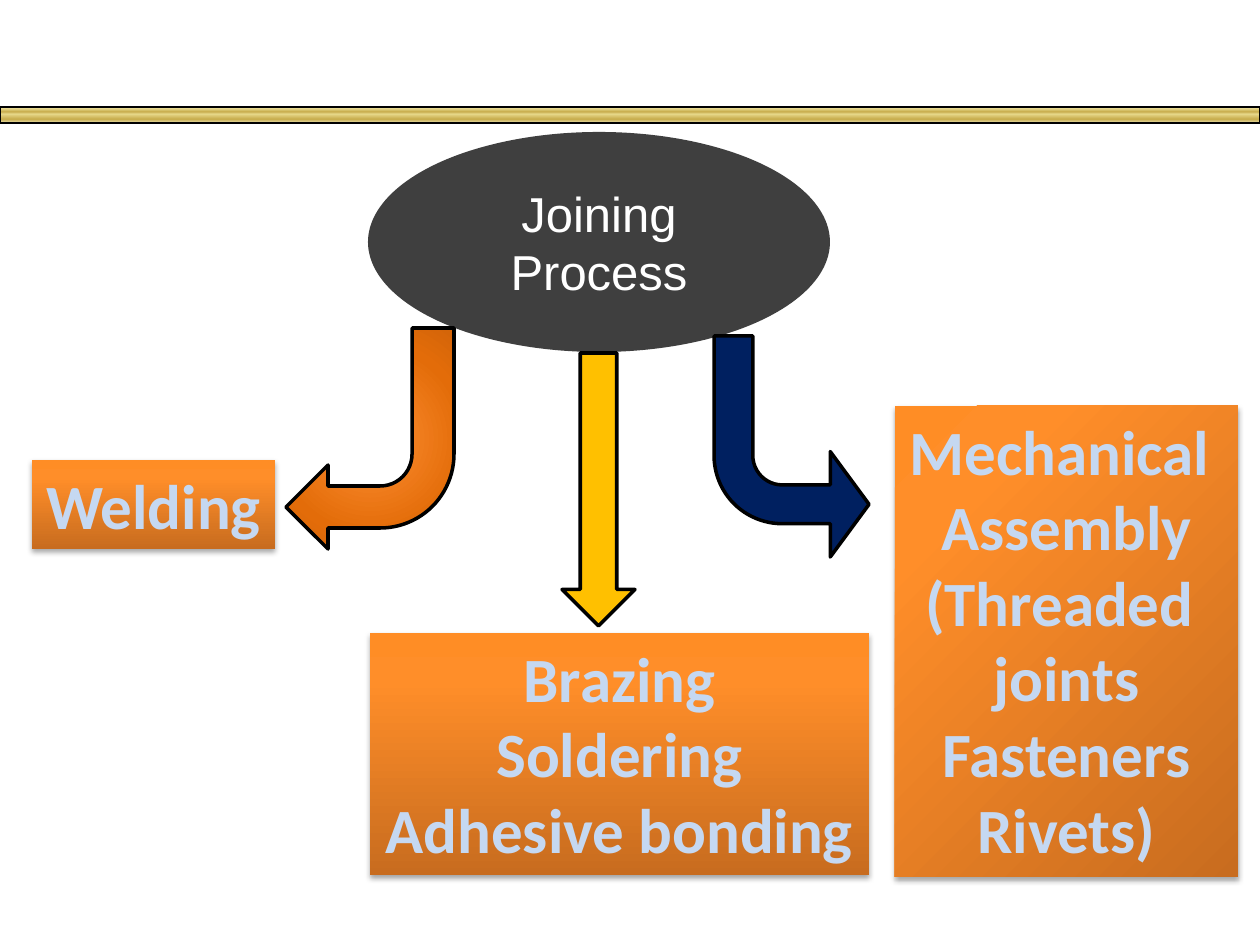
"""Build a slide that sorts joining processes into three branches."""
import lxml.etree
import pptx
import pptx.dml.color
import pptx.enum.shapes
import pptx.enum.text
import pptx.oxml.ns
import pptx.util

PX = 914400 / 126
SHAPE = pptx.enum.shapes.MSO_SHAPE
ANCHOR = pptx.enum.text.MSO_ANCHOR
qn = pptx.oxml.ns.qn

COLORS = {
    "black": "000000", "white": "FFFFFF", "charcoal": "3F3F3F",
    "yellow": "FFC000", "navy": "002060", "pale_blue": "C5D8F1",
    "gold_light": "E6DCAC", "gold": "E6D78A", "gold_dark": "C7AC4C",
    "orange": "F58324", "orange_mid": "E36C09", "orange_dark": "D46509",
    "rust": "C86C1F", "tangerine": "FF8E29", "tangerine_end": "FF8D25",
}
GOLD_STOPS = [(0, "gold_light"), (12, "gold"), (30, "gold_dark"),
              (45, "gold"), (77, "gold_dark"), (100, "gold_light")]
ARROW_STOPS = [(0, "orange"), (23, "orange"), (69, "orange_mid"),
               (97, "orange_dark"), (100, "orange_dark")]
BOX_STOPS = [(0, "rust"), (80, "tangerine"), (100, "tangerine_end")]
UPWARD = {"angle": 270}
CORNER = {"focus": (100, 100, 0, 0)}


def add_part(kind, box, color=None, stops=(), angle=None, focus=None, outline=0):
    part = slide.shapes.add_shape(kind, *(round(v * PX) for v in box))
    part.shadow.inherit = False
    if color:
        part.fill.solid()
        part.fill.fore_color.rgb = pptx.dml.color.RGBColor.from_string(COLORS[color])
    else:
        part.fill.gradient()
        gradient = part._element.spPr.find(qn("a:gradFill"))
        for child in list(gradient):
            gradient.remove(child)
        stop_list = lxml.etree.SubElement(gradient, qn("a:gsLst"))
        for position, name in stops:
            stop = lxml.etree.SubElement(stop_list, qn("a:gs"), pos=str(position * 1000))
            lxml.etree.SubElement(stop, qn("a:srgbClr"), val=COLORS[name])
        if focus:
            radial = lxml.etree.SubElement(gradient, qn("a:path"), path="circle")
            edges = {side: str(v * 1000) for side, v in zip("ltrb", focus)}
            lxml.etree.SubElement(radial, qn("a:fillToRect"), **edges)
        else:
            lxml.etree.SubElement(gradient, qn("a:lin"), ang=str(angle * 60000), scaled="0")
    if outline:
        part.line.color.rgb = pptx.dml.color.RGBColor.from_string(COLORS["black"])
        part.line.width = pptx.util.Pt(outline)
    else:
        part.line.fill.background()
    return part


def write_lines(part, lines, color, frame_format, font_format):
    frame = part.text_frame
    for name, value in frame_format.items():
        setattr(frame, name, value)
    frame.text = "\n".join(lines)
    for paragraph in frame.paragraphs:
        paragraph.alignment = pptx.enum.text.PP_ALIGN.CENTER
        font = paragraph.runs[0].font
        for name, value in font_format.items():
            setattr(font, name, value)
        font.color.rgb = pptx.dml.color.RGBColor.from_string(COLORS[color])


deck = pptx.Presentation()
deck.slide_width = round(1260 * PX)
deck.slide_height = round(945 * PX)
slide = deck.slides.add_slide(deck.slide_layouts[6])

add_part(SHAPE.RECTANGLE, (0, 107, 1260, 16), stops=GOLD_STOPS, angle=90, outline=0.75)

joining = add_part(SHAPE.OVAL, (368, 132, 462, 220), "charcoal")
write_lines(joining, ["Joining Process"], "white",
            {"word_wrap": True, "vertical_anchor": ANCHOR.MIDDLE},
            {"name": "Arial", "size": pptx.util.Pt(28)})

to_welding = add_part(SHAPE.BENT_ARROW, (286, 328, 168, 221), stops=ARROW_STOPS,
                      focus=(50, 50, 50, 50), outline=2)
to_brazing = add_part(SHAPE.UP_ARROW, (562, 353, 73, 273), "yellow", outline=2)
to_mechanical = add_part(SHAPE.BENT_ARROW, (714, 336, 155, 221), "navy", outline=2)
for arrow, adjustments in [
    (to_welding, (0.25, 0.25, 0.25, 0.44)),
    (to_brazing, (0.5, 0.5)),
    (to_mechanical, (0.25, 0.34, 0.25, 0.44)),
]:
    arrow.rotation = 180
    for index, value in enumerate(adjustments):
        arrow.adjustments[index] = value
to_mechanical._element.spPr.find(qn("a:xfrm")).set("flipH", "1")

branches = [
    ((32, 460, 243, 89), UPWARD, ["Welding"]),
    ((370, 633, 499, 242), UPWARD, ["Brazing", "Soldering", "Adhesive bonding"]),
    ((895, 406, 343, 471), CORNER,
     ["Mechanical ", "Assembly", "(Threaded ", "joints", "Fasteners", "Rivets)"]),
]
for box, direction, lines in branches:
    branch = add_part(SHAPE.RECTANGLE, box, stops=BOX_STOPS, **direction)
    effects = branch._element.spPr.find(qn("a:effectLst"))
    shadow = lxml.etree.SubElement(effects, qn("a:outerShdw"), blurRad="40000",
                                   dist="23000", dir="5400000", rotWithShape="0")
    shade = lxml.etree.SubElement(shadow, qn("a:srgbClr"), val=COLORS["black"])
    lxml.etree.SubElement(shade, qn("a:alpha"), val="35000")
    write_lines(branch, lines, "pale_blue",
                {"word_wrap": False, "vertical_anchor": ANCHOR.TOP},
                {"name": "Calibri", "size": pptx.util.Pt(36), "bold": True})

deck.save("out.pptx")
